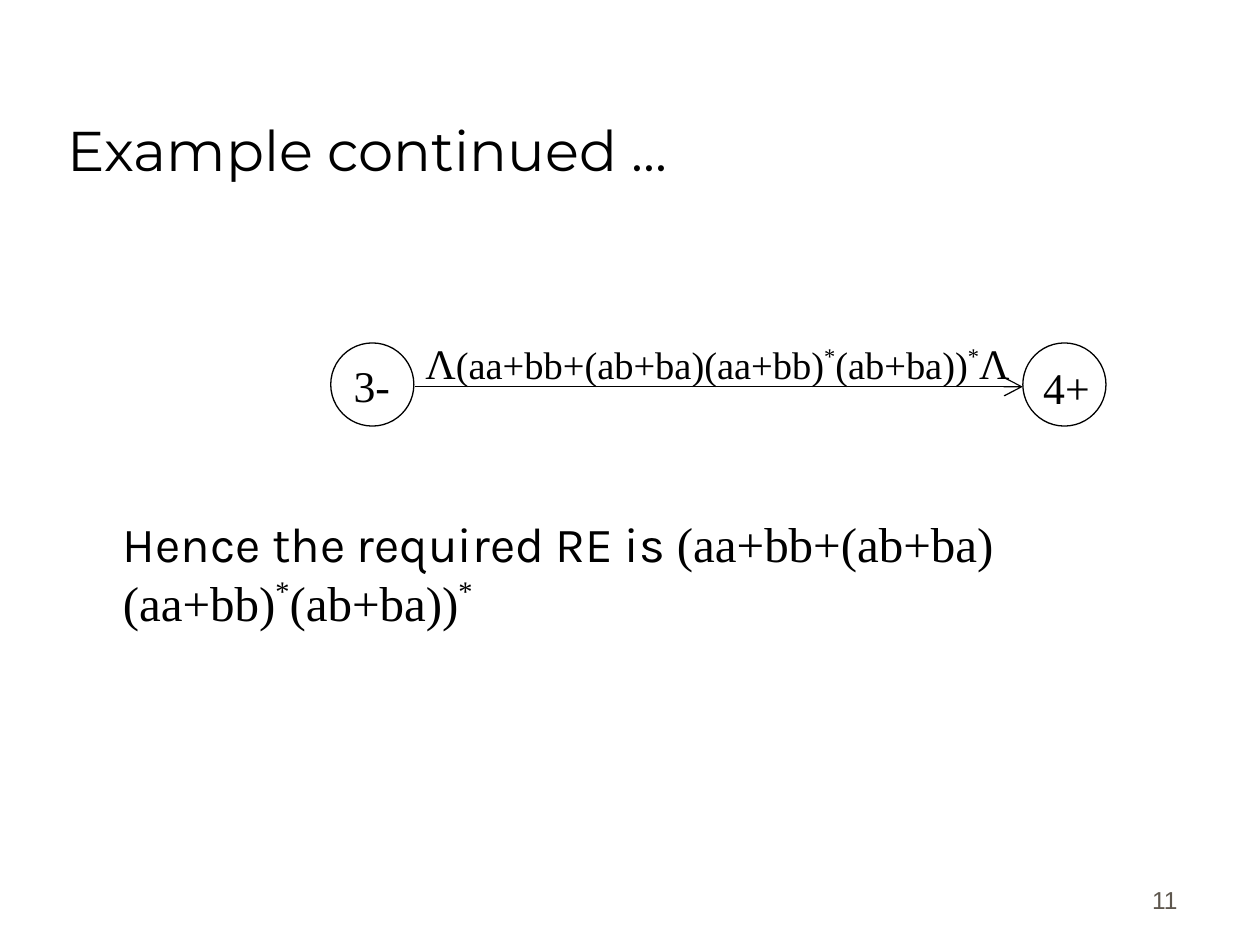
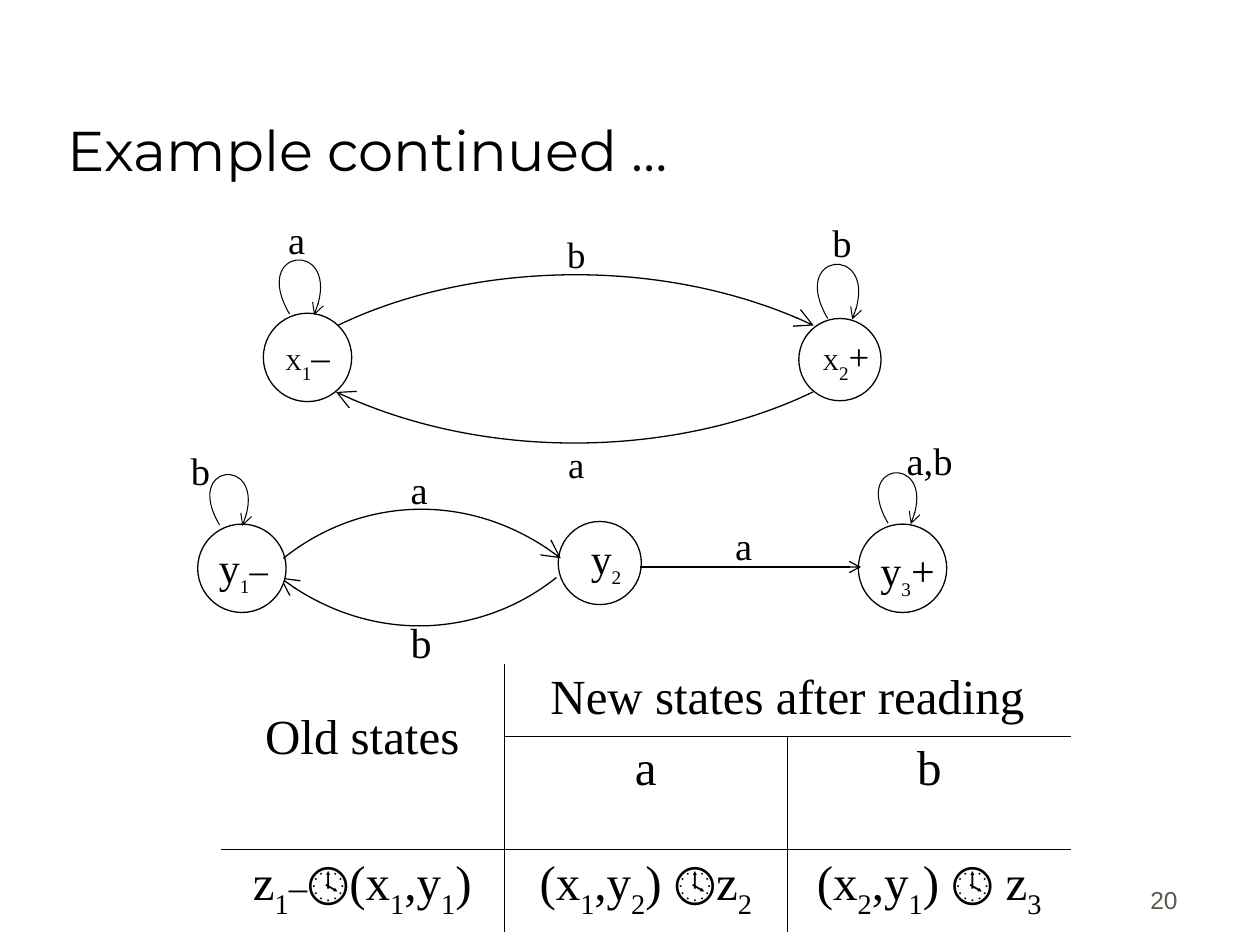
from dataclasses import dataclass

from lxml.etree import SubElement
from pptx import Presentation
from pptx.dml.color import RGBColor
from pptx.enum.shapes import MSO_CONNECTOR, MSO_SHAPE
from pptx.enum.text import MSO_ANCHOR, MSO_AUTO_SIZE, PP_ALIGN
from pptx.oxml.ns import qn
from pptx.util import Pt

BLACK = RGBColor(0x00, 0x00, 0x00)
WHITE = RGBColor(0xFF, 0xFF, 0xFF)
TAUPE = RGBColor(0x5E, 0x57, 0x4E)
SERIF = "Times New Roman"
TITLE_BOX = (31.5, 18, 612, 90)
BODY_BOX = (36, 148.5, 643.5, 328)
NUMBER_BOX = (530, 490, 150, 36)
TITLE_CONTENT, TITLE_ONLY = 1, 5


@dataclass
class Piece:
    """A stretch of text that may differ from its paragraph."""
    text: str
    size: float = None
    font: str = None
    baseline: int = 0


def sub(text, size=None):
    """Return a subscript piece."""
    return Piece(text, size, baseline=-30000)


def sup(text):
    """Return a superscript piece."""
    return Piece(text, baseline=40000)


def style(font, name, size, color):
    """Set the face, size and colour of a font."""
    font.name, font.size = name, Pt(size)
    font.color.rgb = color


def write(frame, pieces, size, font=SERIF, color=BLACK, align=PP_ALIGN.LEFT):
    """Fill the first paragraph of a text frame with pieces."""
    paragraph = frame.paragraphs[0]
    paragraph.alignment = align
    style(paragraph.font, font, size, color)
    for piece in pieces:
        piece = Piece(piece) if isinstance(piece, str) else piece
        run = paragraph.add_run()
        run.text = piece.text
        style(run.font, piece.font or font, piece.size or size, color)
        if piece.baseline:
            run.font._element.set("baseline", str(piece.baseline))
    return paragraph


def place(shape, box):
    """Move and size a shape to a box in points."""
    shape.left, shape.top, shape.width, shape.height = map(Pt, box)


def new_slide(deck, layout, title, number):
    """Add a slide with its title and page number."""
    slide = deck.slides.add_slide(deck.slide_layouts[layout])
    heading = slide.shapes.title
    place(heading, TITLE_BOX)
    frame = heading.text_frame
    frame.auto_size = MSO_AUTO_SIZE.NONE
    frame.vertical_anchor = MSO_ANCHOR.BOTTOM
    write(frame, [title], 32, "Montserrat")
    page = slide.shapes.add_textbox(*map(Pt, NUMBER_BOX)).text_frame
    page.word_wrap = True
    page.vertical_anchor = MSO_ANCHOR.BOTTOM
    write(page, [str(number)], 14, "Arial", TAUPE, PP_ALIGN.RIGHT)
    return slide


def stroke(line, width=0.75, head=None):
    """Draw a black line, with an open arrowhead of a given size if wanted."""
    line.color.rgb = BLACK
    line.width = Pt(width)
    if head:
        SubElement(line._get_or_add_ln(), qn("a:tailEnd"), type="arrow", w=head, len=head)


class Diagram:
    """Draws states, labels and transitions relative to a corner in points."""

    def __init__(self, slide, left, top):
        self.shapes, self.left, self.top = slide.shapes, left, top

    def at(self, x, y):
        """Return a slide position for a position in the diagram."""
        return Pt(self.left + x), Pt(self.top + y)

    def state(self, x, y, diameter):
        """Draw a state circle."""
        circle = self.shapes.add_shape(
            MSO_SHAPE.OVAL, *self.at(x, y), Pt(diameter), Pt(diameter))
        circle.shadow.inherit = False
        circle.fill.solid()
        circle.fill.fore_color.rgb = WHITE
        stroke(circle.line)

    def label(self, x, y, pieces, size=22, width=70):
        """Write a state name or a transition label."""
        frame = self.shapes.add_textbox(*self.at(x, y), Pt(width), Pt(36)).text_frame
        frame.word_wrap = True
        write(frame, pieces, size)

    def arrow(self, start, end, head):
        """Draw a straight transition."""
        line = self.shapes.add_connector(
            MSO_CONNECTOR.STRAIGHT, *self.at(*start), *self.at(*end))
        stroke(line.line, head=head)
        SubElement(line._element.spPr, qn("a:effectLst"))

    def arc(self, start, *others, width=0.75, head="lg"):
        """Draw a transition along a cubic curve through two control points."""
        builder = self.shapes.build_freeform(*self.at(*start))
        builder.add_line_segments([self.at(*point) for point in others], close=False)
        curve = builder.convert_to_shape()
        outline = curve._element.find(".//" + qn("a:path"))
        bezier = SubElement(outline, qn("a:cubicBezTo"))
        for segment in outline.findall(qn("a:lnTo")):
            bezier.append(segment[0])
            outline.remove(segment)
        curve.fill.background()
        curve.shadow.inherit = False
        stroke(curve.line, width, head)

    def loop(self, x, y, scale=1.0):
        """Draw a transition from a state to itself."""
        offsets = [(0, 0), (-22.5, -38), (32, -43), (14, 0.5)]
        self.arc(*[(x + scale * dx, y + scale * dy) for dx, dy in offsets],
                 width=0.6, head="med")


def final_graph(slide, left, top):
    """Draw the two-state graph with the final expression."""
    graph = Diagram(slide, left, top)
    for x in (0, 395.5):
        graph.state(x, 7, 47.5)
    graph.label(400, 13.5, ["4+"], 25)
    graph.label(6, 12.5, ["3-"], 25)
    graph.label(47, 0.5, [Piece("Λ", 24), "(aa+bb+(ab+ba)(aa+bb)", sup("*"),
                          "(ab+ba))", sup("*"), Piece("Λ", 24)], width=386.5)
    graph.arrow((48, 32), (395.5, 32), "lg")


def conclusion(slide):
    """Write the resulting expression in the body placeholder."""
    body = slide.placeholders[1]
    place(body, BODY_BOX)
    frame = body.text_frame
    frame.auto_size = MSO_AUTO_SIZE.NONE
    frame.margin_top = Pt(145)
    paragraph = write(frame, [Piece("Hence the required RE is ", font="Karla"),
                              "(aa+bb+(ab+ba)(aa+bb)", sup("*"), "(ab+ba))", sup("*")], 28)
    paragraph.space_before = Pt(0)
    properties = paragraph._p.get_or_add_pPr()
    properties.set("marL", str(Pt(27)))
    properties.set("indent", "0")
    properties.insert(0, properties.makeelement(qn("a:buNone")))
    properties.insert(0, properties.find(qn("a:spcBef")))


def x_automaton(slide, left, top):
    """Draw the automaton with states x1 and x2."""
    graph = Diagram(slide, left, top)
    graph.state(0.5, 59, 50.5)
    graph.state(306.5, 62, 47)
    graph.loop(15.5, 59.5)
    graph.loop(323, 62)
    graph.arc((43, 66), (113, 32), (226, 24), (315, 66))
    graph.arc((314.5, 104), (244.5, 138), (132, 146.5), (42, 104))
    for x, index, sign in ((6, "1", "–"), (313, "2", "+")):
        graph.label(x, 67, [Piece("X", 13), sub(index, 19), sign], 21)
    graph.label(7.5, 0, ["a"])
    graph.label(318.5, 1.5, ["b"])
    graph.label(167, 9, ["b"], 21)
    graph.label(167.5, 129, ["a"], 21)


def y_automaton(slide, left, top):
    """Draw the automaton with states y1, y2 and y3."""
    graph = Diagram(slide, left, top)
    graph.arc((216, 84), (176, 116), (110.5, 124), (58, 84))
    for x, y, diameter in ((11, 53.5, 50.5), (217, 52, 47.5), (388.5, 53.5, 50.5)):
        graph.state(x, y, diameter)
    graph.arc((60, 73), (100.5, 40.5), (166, 32.5), (218.5, 73))
    graph.arrow((264, 78), (390, 78), "med")
    graph.loop(23.5, 54, 0.93)
    graph.loop(405.5, 53, 0.93)
    graph.label(16, 60, ["y", sub("1", 19), Piece("–", 21)], 24)
    graph.label(228.5, 55, ["y", sub("2", 19)], 24)
    graph.label(394, 61.5, ["y", sub("3", 19), "+"], 24)
    for x, y, letters in ((0, 6, "b"), (409, 0, "a,b"), (125.5, 17, "a"), (311, 49, "a")):
        graph.label(x, y, [letters])
    graph.label(125.5, 103, ["b"], 24)


def edge_cell(cell, drawn):
    """Draw the named edges of a cell and clear the others."""
    properties = cell._tc.get_or_add_tcPr()
    for edge in "LRTB":
        line = SubElement(properties, qn("a:ln" + edge), w=str(Pt(0.45)))
        if edge in drawn:
            fill = SubElement(line, qn("a:solidFill"))
            SubElement(fill, qn("a:srgbClr"), val=str(BLACK))
        else:
            SubElement(line, qn("a:noFill"))
    cell.fill.background()


def transition_table(slide, left, top):
    """Build the table of old and new states."""
    clock = Piece("🕓", font="Cambria")
    content = [
        [["Old states"], ["New states after reading"], []],
        [[], ["a"], ["b"]],
        [["z", sub("1"), Piece("–", 21), clock, "(x", sub("1"), ",y", sub("1"), ")"],
         ["(x", sub("1"), ",y", sub("2"), ") ", clock, "z", sub("2")],
         ["(x", sub("2"), ",y", sub("1"), ") ", clock, " z", sub("3")]],
    ]
    edges = [["RB", "LB", "B"], ["RB", "LRTB", "LTB"], ["TR", "LTR", "LT"]]
    heights = (41, 65, 46.5)
    table = slide.shapes.add_table(
        3, 3, Pt(left), Pt(top), Pt(486), Pt(sum(heights))).table
    table.first_row = table.horz_banding = False
    for row, height in zip(table.rows, heights):
        row.height = Pt(height)
    for column in table.columns:
        column.width = Pt(162)
    for r, row in enumerate(content):
        for c, pieces in enumerate(row):
            cell = table.cell(r, c)
            edge_cell(cell, edges[r][c])
            if pieces:
                write(cell.text_frame, pieces, 28, align=PP_ALIGN.CENTER)
    table.cell(0, 0).merge(table.cell(1, 0))
    table.cell(0, 1).merge(table.cell(0, 2))
    table.cell(0, 0).margin_top = Pt(26.5)


def main():
    """Build both slides and save the deck."""
    deck = Presentation()
    deck.slide_width, deck.slide_height = Pt(720), Pt(540)
    result = new_slide(deck, TITLE_CONTENT, "Example continued ...", 11)
    final_graph(result, 189, 189)
    conclusion(result)
    union = new_slide(deck, TITLE_ONLY, "Example continued …", 20)
    x_automaton(union, 150, 120)
    y_automaton(union, 102, 246)
    transition_table(union, 126, 379.5)
    deck.save("out.pptx")


if __name__ == "__main__":
    main()
